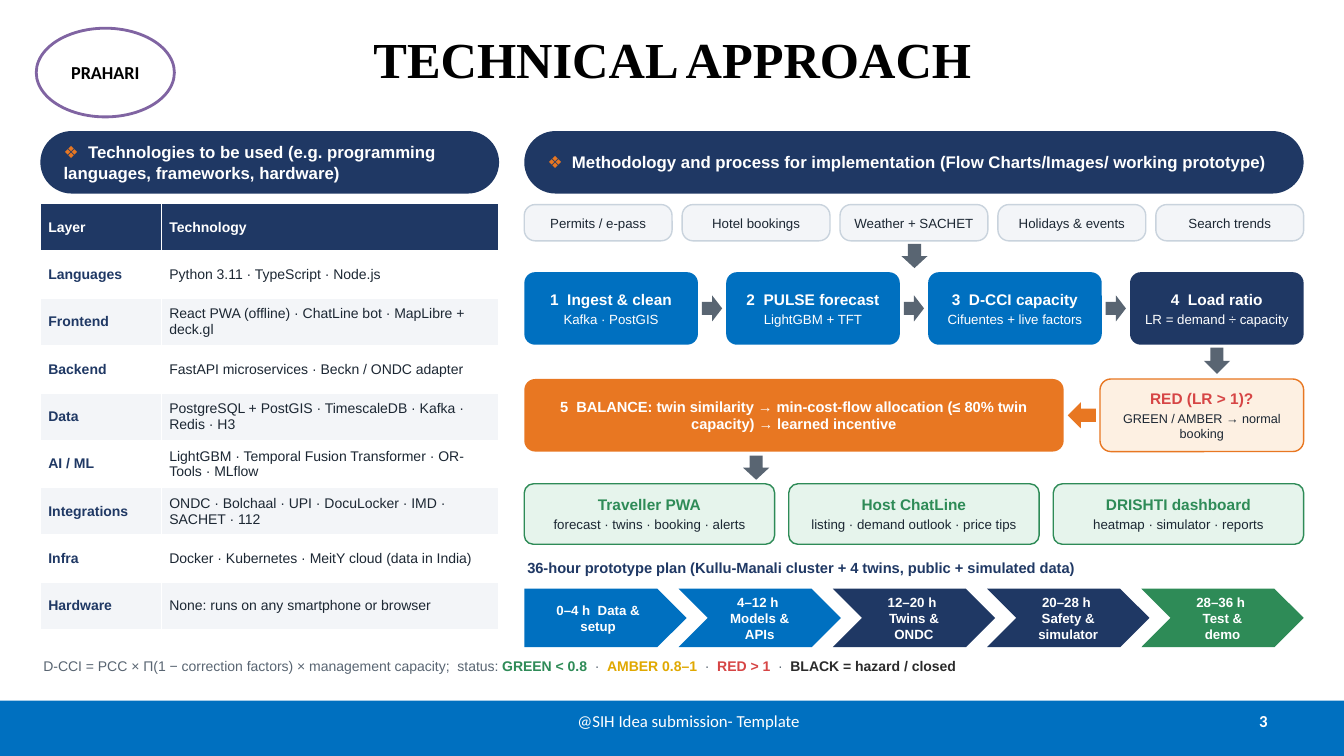
from pptx import Presentation
from pptx.dml.color import RGBColor
from pptx.enum.shapes import MSO_SHAPE
from pptx.enum.text import MSO_ANCHOR, PP_ALIGN
from pptx.util import Inches, Pt

NAVY = RGBColor(0x1F, 0x38, 0x64)
BLUE = RGBColor(0x00, 0x70, 0xC0)
ORANGE = RGBColor(0xE8, 0x77, 0x22)
CREAM = RGBColor(0xFD, 0xF0, 0xE2)
GREEN = RGBColor(0x2E, 0x8B, 0x57)
MINT = RGBColor(0xE6, 0xF4, 0xEC)
RED = RGBColor(0xD6, 0x45, 0x45)
AMBER = RGBColor(0xE0, 0xA8, 0x00)
PURPLE = RGBColor(0x80, 0x64, 0xA2)
SLATE = RGBColor(0x59, 0x65, 0x72)
INK = RGBColor(0x1C, 0x27, 0x33)
CHARCOAL = RGBColor(0x2B, 0x2B, 0x2B)
MIST = RGBColor(0xF3, 0xF5, 0xF8)
SILVER = RGBColor(0xC9, 0xD3, 0xDD)
WHITE = RGBColor(0xFF, 0xFF, 0xFF)
BLACK = RGBColor(0, 0, 0)

SLIDE_WIDTH, SLIDE_HEIGHT = 13.33, 7.5
# Columns as (left, width)
TECH_COLUMN = (0.4, 4.55)
FLOW_COLUMN = (5.2, 7.73)
BALANCE_COLUMN = (5.2, 5.35)
DECISION_COLUMN = (10.91, 2.02)
# Rows as (top, height)
HEADING_ROW = (1.3, 0.62)
SOURCE_ROW = (2.03, 0.36)
STEP_ROW = (2.7, 0.72)
BALANCE_ROW = (3.76, 0.72)
OUTPUT_ROW = (4.8, 0.6)
PLAN_TITLE_ROW = (5.52, 0.28)
PLAN_ROW = (5.84, 0.58)
STATUS_ROW = (6.5, 0.3)
FOOTER_ROW = (6.95, 0.55)
FOOTER_TEXT_ROW = (6.95, 0.4)

TECHNOLOGIES = [
    ("Layer", "Technology"),
    ("Languages", "Python 3.11 · TypeScript · Node.js"),
    ("Frontend", "React PWA (offline) · ChatLine bot · MapLibre + deck.gl"),
    ("Backend", "FastAPI microservices · Beckn / ONDC adapter"),
    ("Data", "PostgreSQL + PostGIS · TimescaleDB · Kafka · Redis · H3"),
    ("AI / ML", "LightGBM · Temporal Fusion Transformer · OR-Tools · MLflow"),
    ("Integrations", "ONDC · Bolchaal · UPI · DocuLocker · IMD · SACHET · 112"),
    ("Infra", "Docker · Kubernetes · MeitY cloud (data in India)"),
    ("Hardware", "None: runs on any smartphone or browser"),
]
SOURCES = ["Permits / e-pass", "Hotel bookings", "Weather + SACHET",
           "Holidays & events", "Search trends"]
STEPS = [
    ("1  Ingest & clean", "Kafka · PostGIS", BLUE),
    ("2  PULSE forecast", "LightGBM + TFT", BLUE),
    ("3  D-CCI capacity", "Cifuentes + live factors", BLUE),
    ("4  Load ratio", "LR = demand ÷ capacity", NAVY),
]
OUTPUTS = [
    ("Traveller PWA", "forecast · twins · booking · alerts"),
    ("Host ChatLine", "listing · demand outlook · price tips"),
    ("DRISHTI dashboard", "heatmap · simulator · reports"),
]
PLAN = [
    ("0–4 h  Data & setup", BLUE),
    ("4–12 h  Models & APIs", BLUE),
    ("12–20 h  Twins & ONDC", NAVY),
    ("20–28 h  Safety & simulator", NAVY),
    ("28–36 h  Test & demo", GREEN),
]
STATUS = [
    ("D-CCI = PCC × Π(1 − correction factors) × management capacity;  status: ", 10, SLATE, False),
    ("GREEN < 0.8", 10, GREEN, True),
    ("  ·  ", 10, SLATE, False),
    ("AMBER 0.8–1", 10, AMBER, True),
    ("  ·  ", 10, SLATE, False),
    ("RED > 1", 10, RED, True),
    ("  ·  ", 10, SLATE, False),
    ("BLACK = hazard / closed", 10, CHARCOAL, True),
]


def place(column, row):
    """Turn (left, width) and (top, height) into left, top, width, height."""
    return [Inches(length) for length in (column[0], row[0], column[1], row[1])]


def split(column, count, gap):
    """Divide a column into equal columns; a negative gap overlaps them."""
    left, width = column
    part = (width - gap * (count - 1)) / count
    return [(left + index * (part + gap), part) for index in range(count)]


def write(text_frame, lines, align=PP_ALIGN.CENTER, side=0.04, edge=0.03,
          anchor=MSO_ANCHOR.MIDDLE, font="Arial", space_after=2):
    """Each line is a list of runs: (text, size, colour, bold)."""
    text_frame.word_wrap = True
    text_frame.vertical_anchor = anchor
    text_frame.margin_left = text_frame.margin_right = Inches(side)
    text_frame.margin_top = text_frame.margin_bottom = Inches(edge)
    for index, line in enumerate(lines):
        paragraph = text_frame.add_paragraph() if index else text_frame.paragraphs[0]
        paragraph.alignment = align
        paragraph.space_after = Pt(space_after)
        for text, size, color, bold in line:
            run = paragraph.add_run()
            run.text = text
            run.font.name = font
            run.font.size = Pt(size)
            run.font.bold = bold
            run.font.color.rgb = color


def add_box(slide, kind, column, row, fill, line=None, line_width=1, corner=None):
    shape = slide.shapes.add_shape(kind, *place(column, row))
    shape.shadow.inherit = False
    shape.fill.solid()
    shape.fill.fore_color.rgb = fill
    if line is None:
        shape.line.fill.background()
    else:
        shape.line.color.rgb = line
        shape.line.width = Pt(line_width)
    if corner is not None:
        shape.adjustments[0] = corner
    return shape


def add_card(slide, column, row, lines, fill, line=None, corner=0.15, **layout):
    card = add_box(slide, MSO_SHAPE.ROUNDED_RECTANGLE, column, row, fill, line, corner=corner)
    write(card.text_frame, lines, **layout)


def add_label(slide, column, row, runs, **layout):
    label = slide.shapes.add_textbox(*place(column, row))
    write(label.text_frame, [runs], **layout)


def add_heading(slide, column, text):
    add_card(slide, column, HEADING_ROW,
             [[("❖  ", 12, ORANGE, True), (text, 12, WHITE, True)]],
             NAVY, corner=0.5, align=PP_ALIGN.LEFT, side=0.14)


def add_down_arrow(slide, center, top, height):
    add_box(slide, MSO_SHAPE.DOWN_ARROW, (center - 0.13, 0.26), (top, height), SLATE)


def add_technology_table(slide):
    row_height = 0.47
    table = slide.shapes.add_table(
        len(TECHNOLOGIES), 2,
        *place(TECH_COLUMN, (2.02, row_height * len(TECHNOLOGIES)))).table
    for column, width in zip(table.columns, (1.2, 3.35)):
        column.width = Inches(width)
    for row, texts in enumerate(TECHNOLOGIES):
        for column, text in enumerate(texts):
            cell = table.cell(row, column)
            cell.fill.solid()
            cell.fill.fore_color.rgb = NAVY if row == 0 else (MIST, WHITE)[row % 2]
            color = WHITE if row == 0 else (NAVY, INK)[column]
            write(cell.text_frame, [[(text, 10, color, row == 0 or column == 0)]],
                  align=PP_ALIGN.LEFT)
            cell.vertical_anchor = MSO_ANCHOR.MIDDLE
            cell.margin_left = cell.margin_right = Inches(0.08)
            cell.margin_top = cell.margin_bottom = Inches(0.03)


def add_frame(slide):
    """Title, team badge and footer."""
    plain = {"side": 0.1, "edge": 0.05, "space_after": 0, "font": "Calibri"}
    add_box(slide, MSO_SHAPE.RECTANGLE, (0, SLIDE_WIDTH), FOOTER_ROW, BLUE)
    add_label(slide, (0.67, 12), (-0.05, 1.25), [("TECHNICAL APPROACH", 36, BLACK, True)],
              **{**plain, "font": "Times New Roman"})
    add_label(slide, (9.56, 3.11), FOOTER_TEXT_ROW, [("3", 12, WHITE, True)],
              align=PP_ALIGN.RIGHT, **plain)
    add_label(slide, (5.08, 3.5), FOOTER_TEXT_ROW,
              [("@SIH Idea submission- Template", 12, WHITE, False)], **plain)
    badge = add_box(slide, MSO_SHAPE.OVAL, (0.36, 1.37), (0.28, 0.88), WHITE, PURPLE, 2)
    write(badge.text_frame, [[("PRAHARI", 13, BLACK, True)]], **{**plain, "side": 0})


def add_flow(slide):
    for column, text in zip(split(FLOW_COLUMN, len(SOURCES), 0.1), SOURCES):
        add_card(slide, column, SOURCE_ROW, [[(text, 9.5, INK, False)]],
                 MIST, SILVER, corner=0.3, side=0.03)
    add_down_arrow(slide, 9.07, 2.42, 0.24)

    step_columns = split(FLOW_COLUMN, len(STEPS), 0.28)
    for column, (name, detail, fill) in zip(step_columns, STEPS):
        add_card(slide, column, STEP_ROW,
                 [[(name, 11, WHITE, True)], [(detail, 9.5, WHITE, False)]], fill)
    for left, width in step_columns[:-1]:
        add_box(slide, MSO_SHAPE.RIGHT_ARROW, (left + width + 0.04, 0.2), (2.93, 0.26), SLATE)
    add_down_arrow(slide, 12.07, 3.45, 0.26)

    add_card(slide, DECISION_COLUMN, BALANCE_ROW,
             [[("RED (LR > 1)?", 11, RED, True)],
              [("GREEN / AMBER → normal booking", 9, INK, False)]],
             CREAM, ORANGE, side=0.08)
    add_box(slide, MSO_SHAPE.LEFT_ARROW, (10.59, 0.28), (3.99, 0.26), ORANGE)
    add_card(slide, BALANCE_COLUMN, BALANCE_ROW,
             [[("5  BALANCE: twin similarity → min-cost-flow allocation "
                "(≤ 80% twin capacity) → learned incentive", 10.5, WHITE, True)]],
             ORANGE, side=0.08)
    add_down_arrow(slide, 7.5, 4.52, 0.24)

    for column, (name, detail) in zip(split(FLOW_COLUMN, len(OUTPUTS), 0.14), OUTPUTS):
        add_card(slide, column, OUTPUT_ROW,
                 [[(name, 11, GREEN, True)], [(detail, 9.5, INK, False)]], MINT, GREEN)


def add_plan(slide):
    for index, (column, (text, fill)) in enumerate(
            zip(split(FLOW_COLUMN, len(PLAN), -0.08), PLAN)):
        kind = MSO_SHAPE.CHEVRON if index else MSO_SHAPE.PENTAGON
        stage = add_box(slide, kind, column, PLAN_ROW, fill)
        write(stage.text_frame, [[(text, 9.5, WHITE, True)]], side=0.14)


def main():
    presentation = Presentation()
    presentation.slide_width = Inches(SLIDE_WIDTH)
    presentation.slide_height = Inches(SLIDE_HEIGHT)
    slide = presentation.slides.add_slide(presentation.slide_layouts[6])
    note = {"align": PP_ALIGN.LEFT, "side": 0.03, "edge": 0.02, "anchor": MSO_ANCHOR.TOP}
    add_frame(slide)
    add_heading(slide, TECH_COLUMN,
                "Technologies to be used (e.g. programming languages, frameworks, hardware)")
    add_technology_table(slide)
    add_heading(slide, FLOW_COLUMN,
                "Methodology and process for implementation (Flow Charts/Images/ working prototype)")
    add_flow(slide)
    add_label(slide, FLOW_COLUMN, PLAN_TITLE_ROW,
              [("36-hour prototype plan (Kullu-Manali cluster + 4 twins, "
                "public + simulated data)", 10.5, NAVY, True)], **note)
    add_plan(slide)
    add_label(slide, (0.4, 12.5), STATUS_ROW, STATUS, **note)
    presentation.save("out.pptx")


if __name__ == "__main__":
    main()
